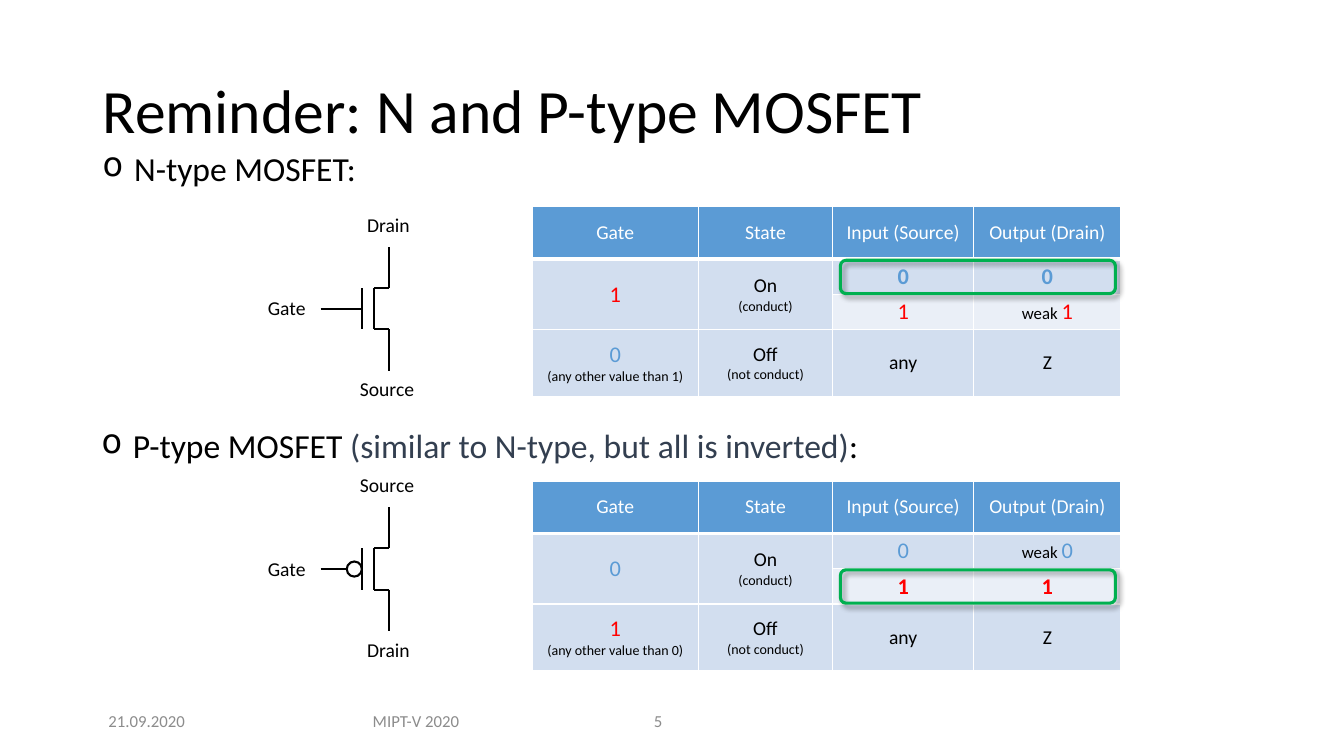
from lxml.etree import SubElement
from pptx import Presentation
from pptx.dml.color import RGBColor
from pptx.enum.shapes import MSO_CONNECTOR, MSO_SHAPE
from pptx.enum.text import MSO_ANCHOR, PP_ALIGN
from pptx.oxml.ns import qn
from pptx.util import Cm, Pt

BLACK = RGBColor(0x00, 0x00, 0x00)
WHITE = RGBColor(0xFF, 0xFF, 0xFF)
BLUE = RGBColor(0x5B, 0x9B, 0xD5)
RED = RGBColor(0xFF, 0x00, 0x00)
GREEN = RGBColor(0x00, 0xB0, 0x50)
NAVY = RGBColor(0x33, 0x3F, 0x50)
GRAY = RGBColor(0x8C, 0x8C, 0x8C)
PALE = RGBColor(0xD2, 0xDE, 0xEF)
LIGHT = RGBColor(0xEA, 0xEF, 0xF7)

COLS = (4.19, 3.38, 3.56, 3.71)
ROWS = (1.32, 0.89, 0.89, 1.68)
HEADS = ("Gate", "State", "Input (Source)", "Output (Drain)")
WIDTHS = {"Gate": 1.5, "Drain": 1.6, "Source": 1.96}


def write(frame, lines, size=14, color=BLACK, bold=False,
          align=PP_ALIGN.LEFT, space=None, bullet=None):
    """Each line is a list of runs: (text, format that differs)."""
    for i, line in enumerate(lines):
        para = frame.paragraphs[0] if i == 0 else frame.add_paragraph()
        para.alignment = align
        if space:
            para.line_spacing = space
        if bullet:
            props = para._p.get_or_add_pPr()
            props.set("marL", str(Cm(0.79)))
            props.set("indent", str(-Cm(0.79)))
            SubElement(props, qn("a:buChar")).set("char", bullet)
        for text, form in line:
            run = para.add_run()
            run.text = text
            font = run.font
            font.name = "Calibri"
            font.size = Pt(form.get("size", size))
            font.bold = form.get("bold", bold)
            font.color.rgb = form.get("color", color)


def label(shapes, box, lines, wrap=False, anchor=MSO_ANCHOR.TOP, **form):
    frame = shapes.add_textbox(*map(Cm, box)).text_frame
    frame.word_wrap = wrap
    frame.vertical_anchor = anchor
    write(frame, lines, **form)


def wire(shapes, *ends):
    line = shapes.add_connector(MSO_CONNECTOR.STRAIGHT, *map(Cm, ends))
    line.line.color.rgb = BLACK
    line.line.width = Pt(1.5)
    SubElement(line._element.spPr, qn("a:effectLst"))


def mosfet(slide, left, mid, top, low, ring=False):
    """Draw the symbol with its gate at height mid, top and low naming its ends."""
    shapes = slide.shapes.add_group_shape().shapes
    start, bar, body, lead = (left + x for x in (1.58, 2.62, 2.92, 3.3))
    half, far = 0.52, 1.56
    wire(shapes, body, mid - half, body, mid + half)
    wire(shapes, bar, mid - half, bar, mid + half)
    for sign in (-1, 1):
        near = mid + sign * half
        wire(shapes, body, near, lead, near)
        wire(shapes, lead, near, lead, mid + sign * far)
    wire(shapes, start, mid, bar, mid)
    if ring:
        side = 0.38
        dot = shapes.add_shape(MSO_SHAPE.OVAL, Cm(bar - side), Cm(mid - side / 2),
                               Cm(side), Cm(side))
        dot.shadow.inherit = False
        dot.fill.solid()
        dot.fill.fore_color.rgb = WHITE
        dot.line.color.rgb = BLACK
        dot.line.width = Pt(1.5)
    # Names of the three ends
    label(shapes, (left, mid - 0.44, WIDTHS["Gate"], 0.86), [[("Gate", {})]])
    for name, drop in ((top, -2.55), (low, 1.6)):
        wide = WIDTHS[name]
        label(shapes, (lead - wide / 2, mid + drop, wide, 0.86), [[(name, {})]])


def edge(cell, row):
    props = cell._tc.get_or_add_tcPr()
    wide = {"a:lnL": 1, "a:lnR": 1, "a:lnT": 3 if row == 1 else 1,
            "a:lnB": 3 if row == 0 else 1}
    for tag, width in wide.items():
        line = SubElement(props, qn(tag), w=str(Pt(width)))
        paint = SubElement(line, qn("a:solidFill"))
        SubElement(paint, qn("a:srgbClr")).set("val", str(WHITE))


def truth(slide, left, top, cells):
    table = slide.shapes.add_table(len(ROWS), len(COLS), Cm(left), Cm(top),
                                   Cm(sum(COLS)), Cm(sum(ROWS))).table
    for col, width in zip(table.columns, COLS):
        col.width = Cm(width)
    for row, height in zip(table.rows, ROWS):
        row.height = Cm(height)
    for c in (0, 1):
        table.cell(1, c).merge(table.cell(2, c))
    heads = [[[(head, {"color": WHITE})]] for head in HEADS]
    for r, line in enumerate([heads] + cells):
        for c, lines in enumerate(line):
            cell = table.cell(r, c)
            edge(cell, r)
            cell.fill.solid()
            cell.fill.fore_color.rgb = (BLUE, PALE, LIGHT, PALE)[r]
            cell.vertical_anchor = MSO_ANCHOR.MIDDLE
            cell.margin_left = cell.margin_right = Cm(0.23)
            cell.margin_top = cell.margin_bottom = Cm(0.1)
            if lines:
                write(cell.text_frame, lines, align=PP_ALIGN.CENTER)


def frame(slide, left, top, row):
    """Ring the strong level in the given row of a table at left, top."""
    ring = slide.shapes.add_shape(
        MSO_SHAPE.ROUNDED_RECTANGLE, Cm(left + 7.77),
        Cm(top + 0.03 + sum(ROWS[:row])), Cm(6.93), Cm(0.84))
    ring.fill.background()
    ring.line.color.rgb = GREEN
    ring.line.width = Pt(2.25)
    ring.shadow.inherit = False
    cast = SubElement(ring._element.spPr.find(qn("a:effectLst")), qn("a:outerShdw"),
                      blurRad=str(Pt(4)), dist=str(Pt(3)), dir=str(45 * 60000),
                      algn="tl", rotWithShape="0")
    tint = SubElement(cast, qn("a:srgbClr"), val=str(BLACK))
    SubElement(tint, qn("a:alpha")).set("val", "40000")


def bit(text, bold=False):
    return text, {"size": 16, "color": RED if text == "1" else BLUE, "bold": bold}


def levels(gate, other):
    """Table body for a type that conducts, and drives strongly, as named."""
    def note(text):
        return [(text, {"size": 10})]

    def drive(text):
        if text == other:
            return [[bit(text, True)]], [[bit(text, True)]]
        return [[bit(text)]], [[("weak ", {"size": 12}), bit(text)]]

    return [
        [[[bit(gate)]], [[("On", {})], note("(conduct)")], *drive("0")],
        [None, None, *drive("1")],
        [[[bit(other)], note(f"(any other value than {gate})")],
         [[("Off", {})], note("(not conduct)")], [[("any", {})]], [[("Z", {})]]],
    ]


def foot(slide, top):
    for text, left, width, align in (
            ("21.09.2020", 2.34, 2.72, PP_ALIGN.CENTER),
            ("MIPT-V 2020", 8.48, 4.01, PP_ALIGN.CENTER),
            ("5", 16.23, 2.01, PP_ALIGN.LEFT)):
        label(slide.shapes, (left, top, width, 1.02), [[(text, {})]], wrap=True,
              anchor=MSO_ANCHOR.MIDDLE, size=12, color=GRAY, align=align)


def main():
    deck = Presentation()
    deck.slide_width, deck.slide_height = Cm(33.87), Cm(19.05)
    slide = deck.slides.add_slide(deck.slide_layouts[6])

    # Title
    label(slide.shapes, (2.34, 1.02, 29.21, 3.68),
          [[("Reminder: N and P-type MOSFET", {})]], wrap=True,
          anchor=MSO_ANCHOR.MIDDLE, size=44, space=0.9)

    # N-type
    left, top = 13.41, 5.21
    label(slide.shapes, (2.34, 3.61, 6.88, 1.27), [[("N-type MOSFET:", {})]],
          size=24, bullet="o")
    mosfet(slide, 6.5, 7.78, "Drain", "Source")
    truth(slide, left, top, levels("1", "0"))
    frame(slide, left, top, 1)

    # P-type
    top = 12.12
    label(slide.shapes, (2.31, 10.59, 19.79, 1.27),
          [[("P-type MOSFET ", {}),
            ("(similar to N-type, but all is inverted)", {"color": NAVY}),
            (":", {})]], size=24, bullet="o")
    mosfet(slide, 6.5, 14.34, "Source", "Drain", ring=True)
    truth(slide, left, top, levels("0", "1"))
    frame(slide, left, top, 2)

    foot(slide, 17.65)
    deck.save("out.pptx")


if __name__ == "__main__":
    main()
